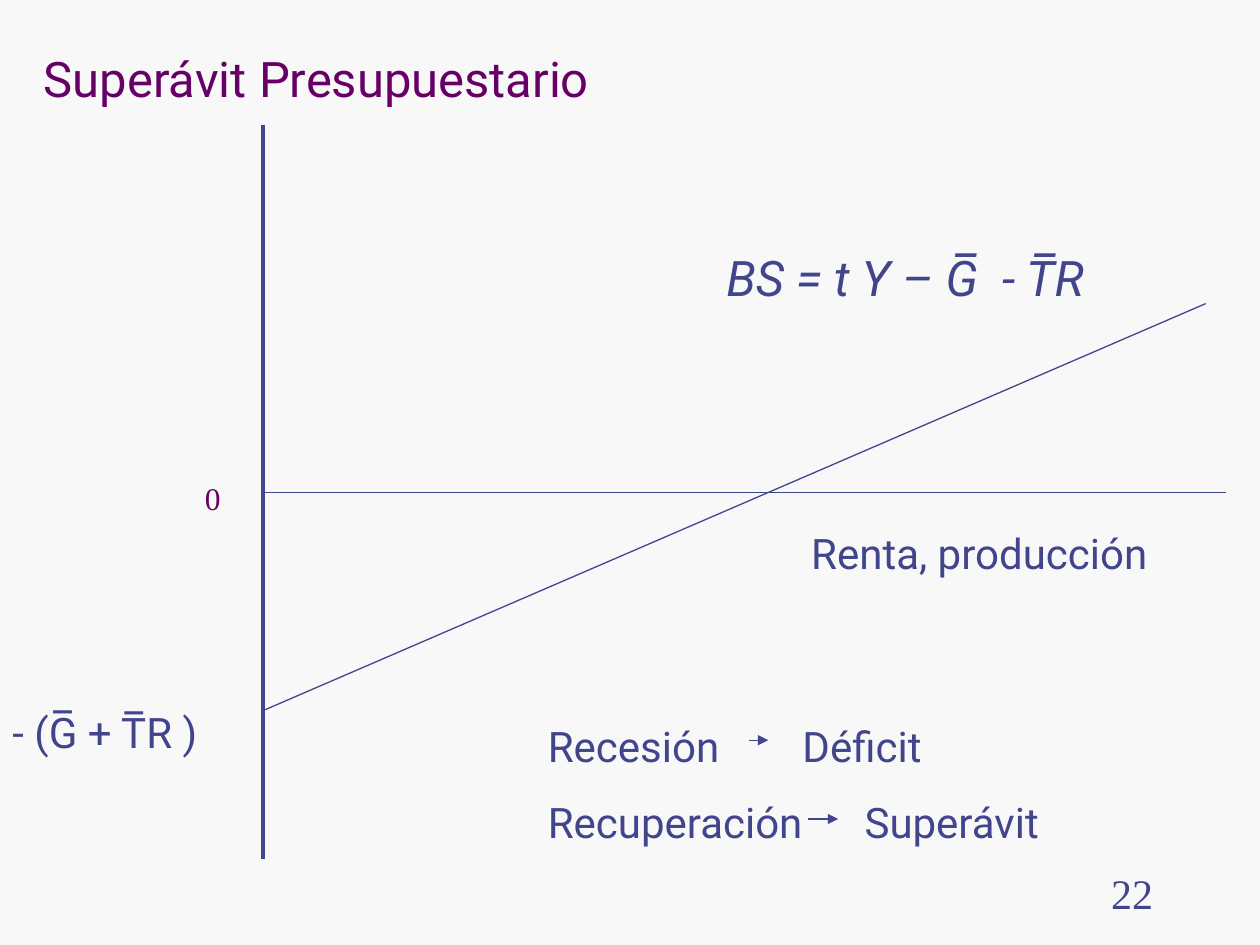
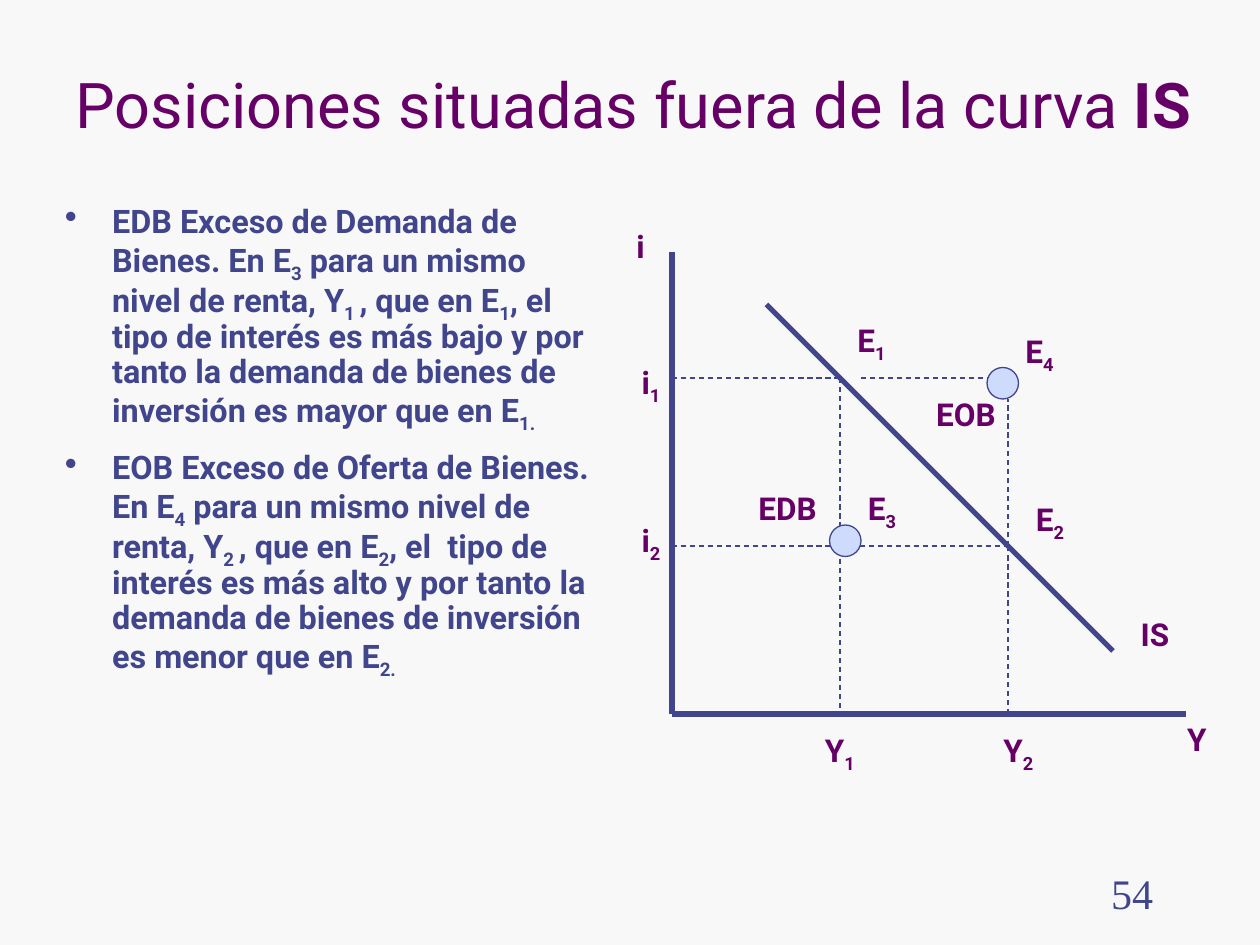
from lxml import etree
from pptx import Presentation
from pptx.dml.color import RGBColor
from pptx.enum.dml import MSO_LINE
from pptx.enum.shapes import MSO_CONNECTOR, MSO_SHAPE
from pptx.enum.text import MSO_ANCHOR, PP_ALIGN
from pptx.oxml.ns import qn
from pptx.util import Pt

DASH = MSO_LINE.DASH
STRAIGHT = MSO_CONNECTOR.STRAIGHT
OVAL = MSO_SHAPE.OVAL
TOP, BOTTOM = MSO_ANCHOR.TOP, MSO_ANCHOR.BOTTOM
LEFT, CENTER, RIGHT = PP_ALIGN.LEFT, PP_ALIGN.CENTER, PP_ALIGN.RIGHT

COLORS = {"paper": "F8F8F8", "ink": "40458C", "accent": "660066", "dot": "CFDBFD"}
SANS, SERIF = "Roboto", "Times New Roman"


def rgb(name):
    return RGBColor.from_string(COLORS[name])


class Deck:
    def __init__(self):
        self.prs = Presentation()
        self.prs.slide_width, self.prs.slide_height = Pt(720), Pt(540)
        self.slide = None

    def new_slide(self, number):
        self.slide = self.prs.slides.add_slide(self.prs.slide_layouts[6])
        fill = self.slide.background.fill
        fill.solid()
        fill.fore_color.rgb = rgb("paper")
        self.text(516, 492, 150, 36, [str(number)], font=SERIF, align=RIGHT,
                  anchor=BOTTOM)

    def text(self, x, y, w, h, paragraphs, size=24, color="ink", font=SANS,
             bold=None, italic=None, align=LEFT, anchor=TOP, gap=0,
             line_spacing=None, bullet=False, tabs=None, mark="sub"):
        """Parts between ~ signs are subscript, or bold if mark is "bold"."""
        frame = self.slide.shapes.add_textbox(Pt(x), Pt(y), Pt(w), Pt(h)).text_frame
        frame.word_wrap = True
        frame.vertical_anchor = anchor
        for i, content in enumerate(paragraphs):
            paragraph = frame.paragraphs[0] if i == 0 else frame.add_paragraph()
            if bullet:
                self.add_bullet(paragraph)
            if tabs:
                self.add_tab(paragraph, tabs[i])
            paragraph.alignment = align
            paragraph.space_before = Pt(gap if i else 0)
            if line_spacing:
                paragraph.line_spacing = line_spacing
            style = paragraph.font
            style.name, style.size = font, Pt(size)
            style.bold, style.italic = bold, italic
            style.color.rgb = rgb(color)
            for j, part in enumerate(content.split("~")):
                if not part:
                    continue
                run = paragraph.add_run()
                run.text = part
                if j % 2 and mark == "bold":
                    run.font.bold = True
                elif j % 2:
                    run.font._element.set("baseline", "-25000")

    def add_bullet(self, paragraph):
        props = paragraph._p.get_or_add_pPr()
        props.set("marL", str(Pt(27)))
        props.set("indent", str(-Pt(27)))
        tint = etree.SubElement(props, qn("a:buClr"))
        etree.SubElement(tint, qn("a:srgbClr"), val=COLORS["ink"])
        etree.SubElement(props, qn("a:buSzPct"), val="110000")
        etree.SubElement(props, qn("a:buChar"), char="•")

    def add_tab(self, paragraph, position):
        stops = etree.SubElement(paragraph._p.get_or_add_pPr(), qn("a:tabLst"))
        etree.SubElement(stops, qn("a:tab"), pos=str(Pt(position)), algn="l")

    def label(self, x, y, content, w=36):
        self.text(x, y, w, 30, [content], size=18, color="accent", bold=True,
                  align=CENTER)

    def line(self, x1, y1, x2, y2, width=0.75, dashed=False, arrow=False):
        line = self.slide.shapes.add_connector(STRAIGHT, Pt(x1), Pt(y1), Pt(x2), Pt(y2))
        line.line.color.rgb = rgb("ink")
        line.line.width = Pt(width)
        if dashed:
            line.line.dash_style = DASH
        if arrow:
            etree.SubElement(line.line._get_or_add_ln(), qn("a:tailEnd"), type="triangle")
        etree.SubElement(line._element.spPr, qn("a:effectLst"))

    def dot(self, x, y, size=18):
        dot = self.slide.shapes.add_shape(OVAL, Pt(x), Pt(y), Pt(size), Pt(size))
        dot.shadow.inherit = False
        dot.fill.solid()
        dot.fill.fore_color.rgb = rgb("dot")
        dot.line.color.rgb = rgb("ink")
        dot.line.width = Pt(0.75)


def budget_surplus(deck):
    deck.new_slide(22)
    deck.text(18, 24, 370, 41, ["Superávit Presupuestario"], size=28, color="accent")

    # Axes and surplus line
    axis_x, zero_y = 150.5, 281.5
    deck.line(axis_x, 71.5, axis_x, 491, width=2.25)
    deck.line(axis_x, zero_y, 700.5, zero_y)
    deck.line(axis_x, 406, 689, 173.5)

    # Axis and line labels
    deck.text(110, 270, 28, 29, ["0"], size=18, color="accent", font=SERIF)
    deck.text(0, 400, 184, 36, ["- (G̅ + T̅R )"])
    deck.text(456.5, 298, 263.5, 36, ["Renta, producción"])
    deck.text(408, 138, 270, 41, ["BS = t Y – G̅  - T̅R"], size=28, italic=True)

    # Effects of the cycle
    deck.text(306, 408, 380, 80, ["Recesión\tDéficit", "Recuperación\tSuperávit"],
              gap=15, tabs=[145.5, 181])
    deck.line(428, 423, 439, 423, arrow=True)
    deck.line(462, 468, 479, 468, arrow=True)


def off_the_is_curve(deck):
    deck.new_slide(54)
    deck.text(36, 24, 660, 60, ["Posiciones situadas fuera de la curva ~IS~"], size=36,
              color="accent", anchor=BOTTOM, mark="bold")
    deck.text(30, 114, 318, 408, [
        "EDB Exceso de Demanda de Bienes. En E~3~ para un mismo nivel de renta, "
        "Y~1 ~, que en E~1~, el  tipo de interés es más bajo y por tanto la demanda "
        "de bienes de inversión es mayor que en E~1.~",
        "EOB Exceso de Oferta de Bienes. En E~4~ para un mismo nivel de renta, "
        "Y~2 ~, que en E~2~, el  tipo de interés es más alto y por tanto la demanda "
        "de bienes de inversión es menor que en E~2.~",
    ], size=18.5, bold=True, gap=12.5, line_spacing=0.9, bullet=True)

    # Guides through the levels of income and interest
    axis_x, axis_y = 384, 408
    y1, y2 = 480, 576
    i1, i2 = 216, 312
    for start, end, level in ((axis_x, y1, i1), (492, y2, i1),
                              (axis_x, y1, i2), (486, y2, i2)):
        deck.line(start, level, end, level, dashed=True)
    for income, start, end in ((y1, i1, axis_y), (y2, axis_y, i2), (y2, i2, 228)):
        deck.line(income, start, income, end, dashed=True)

    # Axes and IS curve
    deck.line(axis_x, 144, axis_x, axis_y, width=3)
    deck.line(axis_x, axis_y, 678, axis_y, width=3)
    deck.line(438, 174, 636, 372, width=3)

    # Positions off the curve
    deck.dot(564, 210)
    deck.dot(474, 300)
    deck.label(522, 222, "EOB", w=60)
    deck.label(420, 276, "EDB", w=60)

    # Labels of axes, levels and points
    for x, y, content in ((348, 126, "i"), (666, 408, "Y"), (642, 348, "IS"),
                          (354, 204, "i~1~"), (354, 294, "i~2~"),
                          (462, 414, "Y~1~"), (564, 414, "Y~2~"),
                          (480, 180, "E~1~"), (582, 282, "E~2~"),
                          (486, 276, "E~3~"), (576, 186, "E~4~")):
        deck.label(x, y, content)


def main():
    deck = Deck()
    budget_surplus(deck)
    off_the_is_curve(deck)
    deck.prs.save("out.pptx")


if __name__ == "__main__":
    main()
